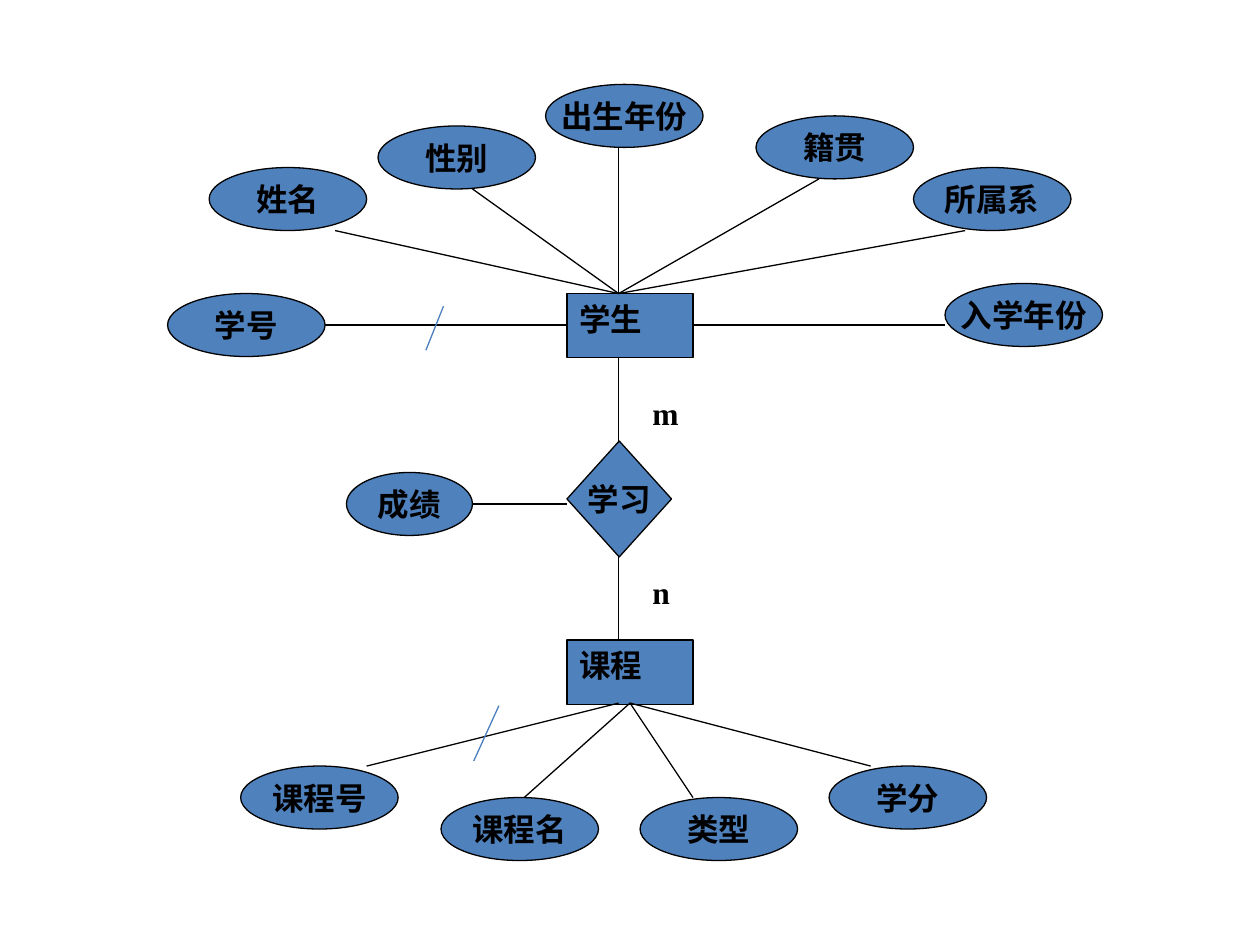
"""Draw an entity-relationship diagram of students, courses and study."""
from dataclasses import dataclass

from lxml import etree
from pptx import Presentation
from pptx.dml.color import RGBColor
from pptx.enum.shapes import MSO_CONNECTOR, MSO_SHAPE
from pptx.enum.text import MSO_ANCHOR, MSO_AUTO_SIZE, PP_ALIGN
from pptx.oxml.ns import qn
from pptx.util import Inches, Pt

STRAIGHT = MSO_CONNECTOR.STRAIGHT
ELLIPSE, RECTANGLE, DIAMOND = MSO_SHAPE.OVAL, MSO_SHAPE.RECTANGLE, MSO_SHAPE.DIAMOND
CENTER, LEFT = PP_ALIGN.CENTER, PP_ALIGN.LEFT
MIDDLE, TOP = MSO_ANCHOR.MIDDLE, MSO_ANCHOR.TOP
FIT_SHAPE = MSO_AUTO_SIZE.SHAPE_TO_FIT_TEXT
FONT = "Times New Roman"
BLACK, BLUE, KEY_BLUE = "000000", "4F81BD", "4B7EBC"


@dataclass
class Node:
    text: str
    left: float
    top: float
    width: float = 1.25
    height: float = 0.5
    outline: MSO_SHAPE = ELLIPSE


@dataclass
class Link:
    x1: float
    y1: float
    x2: float
    y2: float
    color: str = BLACK


def rgb(color: str) -> RGBColor:
    return RGBColor.from_string(color)


def write(frame, text: str, align: PP_ALIGN) -> None:
    frame.text = text
    paragraph = frame.paragraphs[0]
    paragraph.alignment = align
    paragraph.font.name = FONT
    paragraph.font.size = Pt(18)
    paragraph.font.bold = True
    paragraph.font.color.rgb = rgb(BLACK)


def draw_node(slide, node: Node) -> None:
    shape = slide.shapes.add_shape(
        node.outline, Inches(node.left), Inches(node.top),
        Inches(node.width), Inches(node.height))
    shape.shadow.inherit = False
    shape.fill.solid()
    shape.fill.fore_color.rgb = rgb(BLUE)
    shape.line.color.rgb = rgb(BLACK)
    shape.line.width = Pt(0.75)
    is_entity = node.outline == RECTANGLE
    frame = shape.text_frame
    frame.word_wrap = is_entity
    frame.vertical_anchor = TOP if is_entity else MIDDLE
    if is_entity:
        frame.auto_size = FIT_SHAPE
    write(frame, node.text, LEFT if is_entity else CENTER)


def draw_link(slide, link: Link) -> None:
    line = slide.shapes.add_connector(
        STRAIGHT, Inches(link.x1), Inches(link.y1), Inches(link.x2), Inches(link.y2))
    line.line.color.rgb = rgb(link.color)
    line.line.width = Pt(0.75)
    etree.SubElement(line._element.spPr, qn("a:effectLst"))


def draw_cardinality(slide, text: str, top: float) -> None:
    box = slide.shapes.add_textbox(Inches(5.08), Inches(top), Inches(0.42), Inches(0.5))
    box.text_frame.word_wrap = True
    box.text_frame.auto_size = FIT_SHAPE
    write(box.text_frame, text, LEFT)


AXIS = 4.91
STUDENT_TOP, COURSE_TOP, COURSE_BOTTOM = 2.33, 5.08, 5.58

student_links = [
    Link(AXIS, STUDENT_TOP, x, y)
    for x, y in [(2.66, 1.83), (3.75, 1.5), (AXIS, 1.17), (6.5, 1.42), (7.66, 1.83)]
]
course_links = [
    Link(start, COURSE_BOTTOM, x, y)
    for start, x, y in [(AXIS, 2.91, 6.08), (5, 4.16, 6.33), (5, 5.5, 6.33), (5, 6.91, 6.08)]
]
side_links = [Link(2.58, 2.58, 4.5, 2.58), Link(5.5, 2.58, 7.5, 2.58), Link(3.75, 4, 4.5, 4)]
relation_links = [Link(AXIS, 2.83, AXIS, 3.5), Link(AXIS, 4.42, AXIS, COURSE_TOP)]
key_marks = [
    Link(3.38, 2.78, 3.52, 2.43, KEY_BLUE),
    Link(3.76, 6.04, 3.96, 5.6, KEY_BLUE),
]

nodes = [
    Node("学生", 4.5, STUDENT_TOP, 1, 0.51, RECTANGLE),
    Node("学号", 1.33, 2.33),
    Node("姓名", 1.66, 1.33),
    Node("性别", 3, 1),
    Node("出生年份", 4.33, 0.67),
    Node("籍贯", 6, 0.92),
    Node("所属系", 7.25, 1.33),
    Node("入学年份", 7.5, 2.25),
    Node("学习", 4.5, 3.5, 0.83, 0.92, DIAMOND),
    Node("成绩", 2.75, 3.75, 1),
    Node("课程", 4.5, COURSE_TOP, 1, 0.51, RECTANGLE),
    Node("课程号", 1.91, 6.08),
    Node("课程名", 3.5, 6.33),
    Node("类型", 5.08, 6.33),
    Node("学分", 6.58, 6.08),
]

prs = Presentation()
prs.slide_width, prs.slide_height = Inches(10), Inches(7.5)
slide = prs.slides.add_slide(prs.slide_layouts[6])

for node in nodes:
    draw_node(slide, node)
for link in student_links + course_links + side_links + relation_links + key_marks:
    draw_link(slide, link)
for cardinality, top in [("m", 3.08), ("n", 4.5)]:
    draw_cardinality(slide, cardinality, top)

prs.save("out.pptx")
